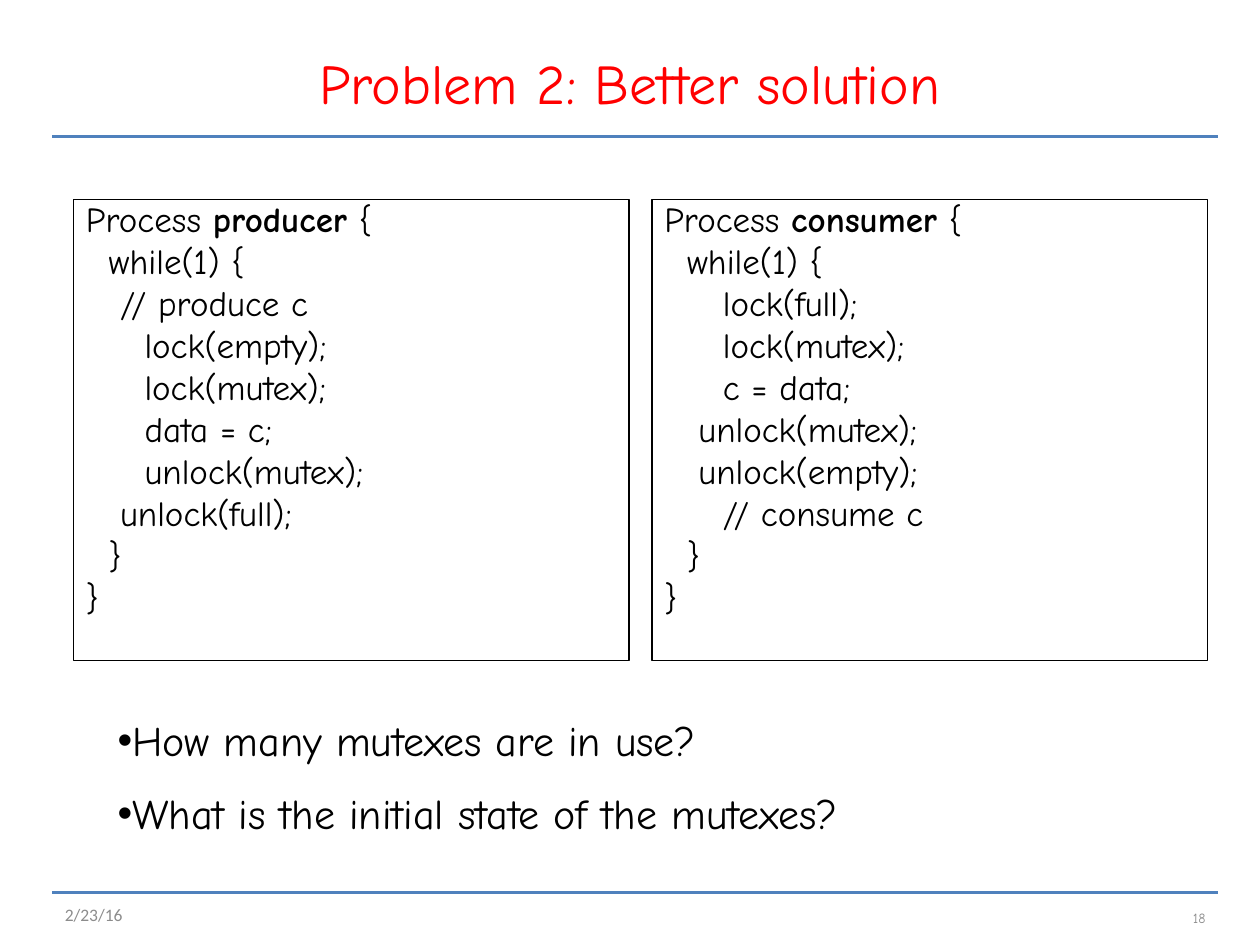
from pptx import Presentation
from pptx.dml.color import RGBColor
from pptx.enum.shapes import MSO_CONNECTOR, MSO_SHAPE
from pptx.enum.text import MSO_ANCHOR, MSO_AUTO_SIZE, PP_ALIGN
from pptx.oxml.ns import qn
from pptx.util import Pt
from lxml.etree import SubElement

HEADING = "Problem 2: Better solution"
QUESTIONS = ["How many mutexes are in use?", "What is the initial state of the mutexes?"]
LISTINGS = [
    ("producer", [
        (1, "while(1) {"),
        (2, "// produce c"),
        (3, "lock(empty);"),
        (3, "lock(mutex);"),
        (3, "data = c;"),
        (3, "unlock(mutex);"),
        (2, "unlock(full);"),
        (1, "}"),
        (0, "}"),
    ]),
    ("consumer", [
        (1, "while(1) {"),
        (3, "lock(full);"),
        (3, "lock(mutex);"),
        (3, "c = data;"),
        (2, "unlock(mutex);"),
        (2, "unlock(empty);"),
        (3, "// consume c"),
        (1, "}"),
        (0, "}"),
    ]),
]
DATE = "2/23/16"
PAGE = "18"

THEME = {
    "font": "Comic Neue", "date_font": "Calibri",
    "red": RGBColor(0xFF, 0, 0), "black": RGBColor(0, 0, 0),
    "blue": RGBColor(0x4F, 0x81, 0xBD), "gray": RGBColor(0x8C, 0x8C, 0x8C),
    "heading": 32, "code": 20, "question": 24, "date": 10, "page": 8,
}
CODE_INDENTS = [0, 13, 19.5, 33.5]
RULE_LEFT, RULE_RIGHT, RULE_TOPS = 30, 696, (78, 510)
CODE_LEFT, CODE_TOP, CODE_WIDTH, CODE_HEIGHT, CODE_STEP = 42, 114, 317.5, 263.5, 330.5


def style(paragraph, size, color, font=THEME["font"]):
    for run in paragraph.runs:
        run.font.size = Pt(size)
        run.font.name = font
        run.font.color.rgb = color


def place(shape, left, top, width, height):
    shape.left, shape.top, shape.width, shape.height = map(Pt, (left, top, width, height))


def set_indent(paragraph, margin):
    properties = paragraph._p.get_or_add_pPr()
    properties.set("marL", str(Pt(margin)))
    properties.set("indent", "0")
    return properties


def add_rule(slide, top):
    rule = slide.shapes.add_connector(
        MSO_CONNECTOR.STRAIGHT, Pt(RULE_LEFT), Pt(top), Pt(RULE_RIGHT), Pt(top))
    rule.line.color.rgb = THEME["blue"]
    rule.line.width = Pt(2)
    SubElement(rule._element.spPr, qn("a:effectLst"))


def add_listing(slide, column, process, statements):
    listing = slide.shapes.add_shape(
        MSO_SHAPE.RECTANGLE, Pt(CODE_LEFT + column * CODE_STEP), Pt(CODE_TOP),
        Pt(CODE_WIDTH), Pt(CODE_HEIGHT))
    listing.shadow.inherit = False
    listing.fill.background()
    listing.line.color.rgb = THEME["black"]
    listing.line.width = Pt(0.75)
    frame = listing.text_frame
    frame.vertical_anchor = MSO_ANCHOR.TOP
    header = frame.paragraphs[0]
    for part in ("Process ", process, " {"):
        run = header.add_run()
        run.text = part
        run.font.bold = part == process
    for level, statement in statements:
        line = frame.add_paragraph()
        line.text = statement
        set_indent(line, CODE_INDENTS[level])
    for line in frame.paragraphs:
        line.alignment = PP_ALIGN.LEFT
        line.line_spacing = 0.8
        line.space_before = Pt(4.8)
        style(line, THEME["code"], THEME["black"])


def add_footer(slide, text, bounds, align, size, font):
    footer = slide.shapes.add_textbox(*map(Pt, bounds))
    frame = footer.text_frame
    frame.word_wrap = True
    frame.vertical_anchor = MSO_ANCHOR.MIDDLE
    frame.text = text
    frame.paragraphs[0].alignment = align
    style(frame.paragraphs[0], size, THEME["gray"], font)


deck = Presentation()
deck.slide_width, deck.slide_height = Pt(720), Pt(540)
slide = deck.slides.add_slide(deck.slide_layouts[1])

for rule_top in RULE_TOPS:
    add_rule(slide, rule_top)

heading = slide.shapes.title
place(heading, 36, 21.6, 648, 50.4)
heading.text_frame.text = HEADING
heading.text_frame.vertical_anchor = MSO_ANCHOR.MIDDLE
heading.text_frame.paragraphs[0].alignment = PP_ALIGN.CENTER
style(heading.text_frame.paragraphs[0], THEME["heading"], THEME["red"])

for column, (process, statements) in enumerate(LISTINGS):
    add_listing(slide, column, process, statements)

questions = slide.placeholders[1]
place(questions, 60, 404.6, 612, 80)
questions.text_frame.text = "\n".join(QUESTIONS)
questions.text_frame.auto_size = MSO_AUTO_SIZE.SHAPE_TO_FIT_TEXT
for question in questions.text_frame.paragraphs:
    question.space_before = Pt(13)
    SubElement(set_indent(question, 0), qn("a:buChar")).set("char", "•")
    style(question, THEME["question"], THEME["black"])

add_footer(slide, DATE, (30, 511, 108, 23), PP_ALIGN.LEFT, THEME["date"], THEME["date_font"])
add_footer(slide, PAGE, (630, 510, 66, 29), PP_ALIGN.RIGHT, THEME["page"], THEME["font"])

deck.save("out.pptx")
